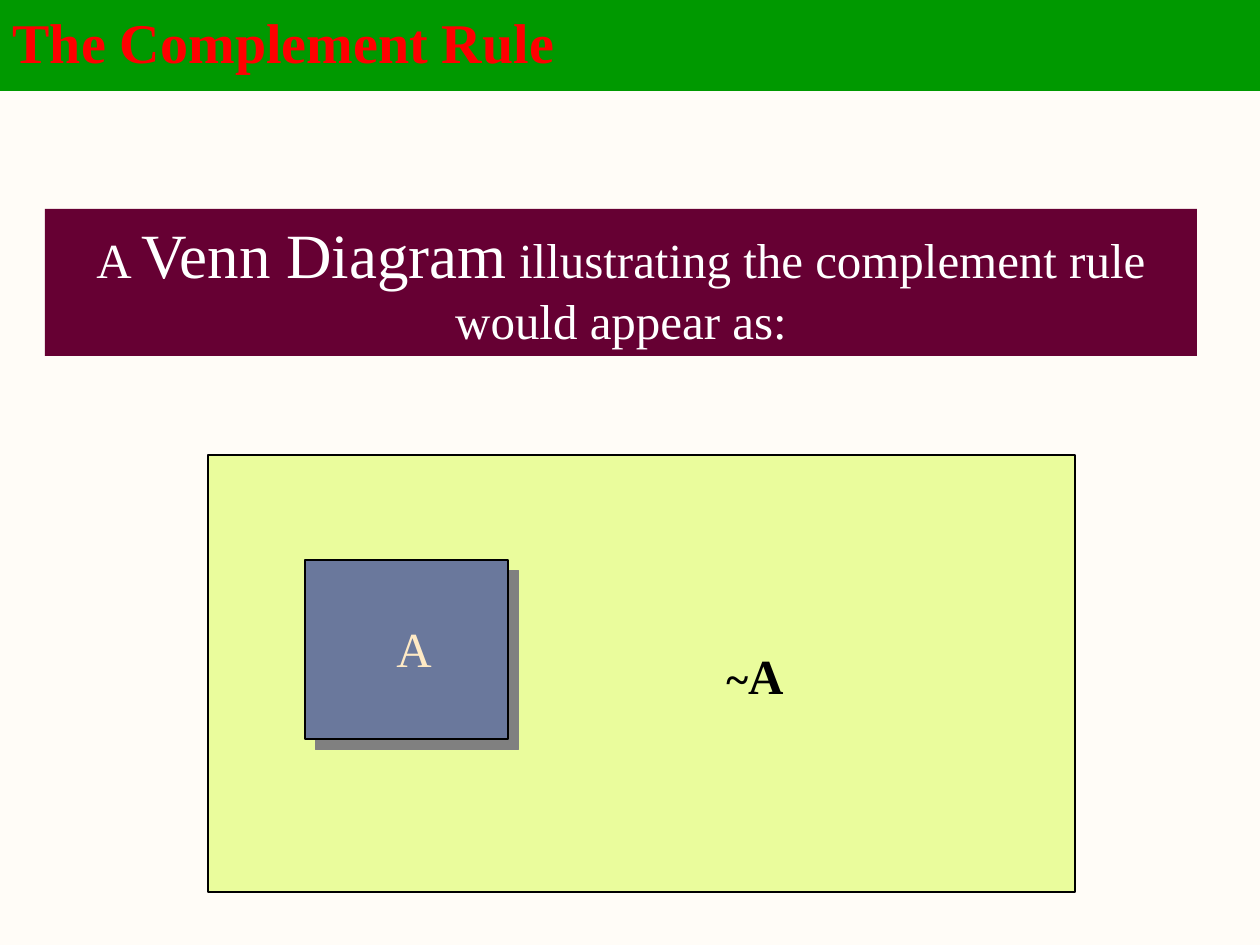
"""Build the complement rule slide with its Venn diagram."""
from typing import NamedTuple

from lxml import etree
from pptx import Presentation
from pptx.dml.color import RGBColor
from pptx.enum.shapes import MSO_SHAPE
from pptx.enum.text import MSO_ANCHOR, MSO_AUTO_SIZE, PP_ALIGN
from pptx.oxml.ns import qn
from pptx.util import Emu, Pt

RECTANGLE = MSO_SHAPE.RECTANGLE
TOP, MIDDLE = MSO_ANCHOR.TOP, MSO_ANCHOR.MIDDLE
LEFT, CENTER = PP_ALIGN.LEFT, PP_ALIGN.CENTER
NO_AUTOFIT = MSO_AUTO_SIZE.NONE

EMU_PER_PX = 914400 / 126
TITLE_ONLY = 5
FONT = "Times New Roman"
COLORS = {
    "background": "FFFCF7",
    "title_bar": "009900",
    "title": "FF0000",
    "banner": "660033",
    "white": "FFFFFF",
    "universe": "EAFC9C",
    "event": "6A789C",
    "event_label": "FFEAC5",
    "black": "000000",
    "shadow": "808080",
}


class Box(NamedTuple):
    left: int
    top: int
    width: int
    height: int


class Run(NamedTuple):
    text: str
    size: int


class Region(NamedTuple):
    box: Box
    fill: str
    line: str | None = None
    shadow: bool = False


class Label(NamedTuple):
    box: Box
    runs: list[Run]
    color: str
    bold: bool = False
    wrap: bool = True


UNIVERSE = Region(Box(208, 455, 867, 437), "universe", "black")
EVENT = Region(Box(305, 560, 203, 179), "event", "black", shadow=True)
BANNER = Region(Box(45, 209, 1152, 147), "banner")
BANNER_RUNS = [
    Run("A ", 28),
    Run("Venn Diagram", 36),
    Run(" illustrating the complement rule would appear as:", 28),
]
LABELS = [
    Label(Box(384, 612, 56, 72), [Run("A", 28)], "event_label"),
    Label(Box(714, 639, 83, 72), [Run("~", 24), Run("A", 28)], "black", True, False),
]
TITLE_BOX = Box(0, 0, 1260, 90)


def px(length: int) -> Emu:
    return Emu(round(length * EMU_PER_PX))


def rgb(name: str) -> RGBColor:
    return RGBColor.from_string(COLORS[name])


def place(box: Box) -> list[Emu]:
    return [px(length) for length in box]


def paint(shape, fill: str, line: str | None, width: float = 1) -> None:
    shape.fill.solid()
    shape.fill.fore_color.rgb = rgb(fill)
    if line is None:
        shape.line.fill.background()
    else:
        shape.line.color.rgb = rgb(line)
        shape.line.width = Pt(width)


def write(shape, runs: list[Run], *, color: str, bold: bool = False,
          align=LEFT, anchor=TOP, wrap: bool = True, spacing: float = 1.0) -> None:
    frame = shape.text_frame
    frame.auto_size = NO_AUTOFIT
    frame.word_wrap = wrap
    frame.vertical_anchor = anchor
    paragraph = frame.paragraphs[0]
    paragraph.alignment = align
    paragraph.line_spacing = spacing
    for text, size in runs:
        run = paragraph.add_run()
        run.text = text
        run.font.name = FONT
        run.font.size = Pt(size)
        run.font.bold = bold
        run.font.color.rgb = rgb(color)


def add_shadow(shape) -> None:
    effects = shape.element.spPr.find(qn("a:effectLst"))
    shadow = etree.SubElement(effects, qn("a:outerShdw"), dist=str(Pt(8.5)),
                              dir="2700000", algn="ctr", rotWithShape="0")
    etree.SubElement(shadow, qn("a:srgbClr"), val=COLORS["shadow"])


def add_region(slide, region: Region):
    shape = slide.shapes.add_shape(RECTANGLE, *place(region.box))
    shape.shadow.inherit = False
    paint(shape, region.fill, region.line)
    if region.shadow:
        add_shadow(shape)
    return shape


def add_label(slide, label: Label) -> None:
    shape = slide.shapes.add_textbox(*place(label.box))
    write(shape, label.runs, color=label.color, bold=label.bold, wrap=label.wrap)


def add_title(slide) -> None:
    title = slide.shapes.title
    title.left, title.top, title.width, title.height = place(TITLE_BOX)
    paint(title, "title_bar", "title_bar", 0.75)
    write(title, [Run("The Complement Rule", 32)], color="title", bold=True,
          anchor=MIDDLE, spacing=0.9)


def main() -> None:
    presentation = Presentation()
    presentation.slide_width, presentation.slide_height = px(1260), px(945)
    slide = presentation.slides.add_slide(presentation.slide_layouts[TITLE_ONLY])
    slide.background.fill.solid()
    slide.background.fill.fore_color.rgb = rgb("background")
    add_title(slide)
    for region in (UNIVERSE, EVENT):
        add_region(slide, region)
    for label in LABELS:
        add_label(slide, label)
    write(add_region(slide, BANNER), BANNER_RUNS, color="white", align=CENTER,
          anchor=MIDDLE)
    presentation.save("out.pptx")


if __name__ == "__main__":
    main()
